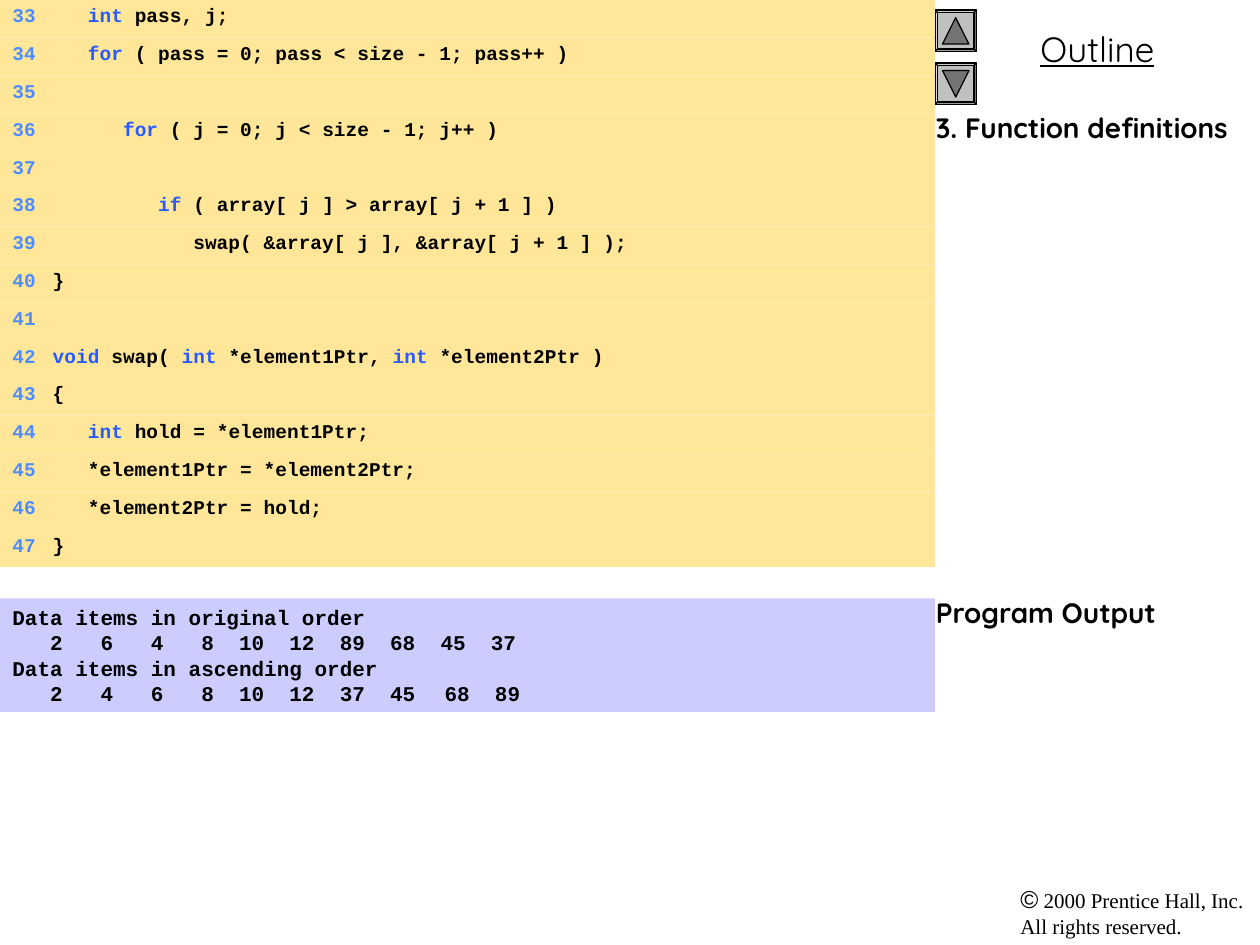
from lxml import etree
from pptx import Presentation
from pptx.dml.color import RGBColor
from pptx.enum.shapes import MSO_SHAPE
from pptx.enum.text import MSO_ANCHOR, PP_ALIGN
from pptx.oxml.ns import qn
from pptx.util import Inches, Pt

CODE_WIDTH = 7.42
ROW_HEIGHT = 0.3
FIRST_LINE = 33
CODE_TABS = ((0.15, "r"), (0.32, "l"))
OUTPUT_TABS = ((3.33, "l"),)

# Keywords stand between backticks.
CODE_LINES = (
    "   `int` pass, j;",
    "   `for` ( pass = 0; pass < size - 1; pass++ )",
    "",
    "      `for` ( j = 0; j < size - 1; j++ )",
    "",
    "         `if` ( array[ j ] > array[ j + 1 ] )",
    "            swap( &array[ j ], &array[ j + 1 ] );",
    "}",
    "",
    "`void` swap( `int` *element1Ptr, `int` *element2Ptr )",
    "{",
    "   `int` hold = *element1Ptr;",
    "   *element1Ptr = *element2Ptr;",
    "   *element2Ptr = hold;",
    "}",
)
OUTPUT_LINES = (
    "Data items in original order",
    "   2   6   4   8  10  12  89  68  45  37",
    "Data items in ascending order",
    "   2   4   6   8  10  12  37  45\t 68  89",
)


def color(hex_string):
    return RGBColor.from_string(hex_string)


class SlideBuilder:
    black = "000000"
    number_color = "4D8DFF"
    keyword_color = "275AFF"
    code_fill = "FFE699"
    output_fill = "CCCCFF"
    button_fill = "C0C0C0"
    arrow_fill = "747474"
    code_font = "Courier New"
    heading_font = "Quicksand"

    def __init__(self, slide):
        self.slide = slide

    def shape(self, kind, left, top, width, height, fill, line=None):
        shape = self.slide.shapes.add_shape(
            kind, Inches(left), Inches(top), Inches(width), Inches(height))
        shape.shadow.inherit = False
        shape.fill.solid()
        shape.fill.fore_color.rgb = color(fill)
        if line:
            shape.line.color.rgb = color(line)
            shape.line.width = Pt(0.75)
        else:
            shape.line.fill.background()
        return shape

    def panel(self, top, height, fill):
        """Add a full-width code panel and return its text frame."""
        panel = self.shape(MSO_SHAPE.RECTANGLE, 0, top, CODE_WIDTH, height, fill)
        panel.text_frame.word_wrap = True
        panel.text_frame.vertical_anchor = MSO_ANCHOR.TOP
        return panel.text_frame

    def text_box(self, left, top, width, height, wrap=True):
        box = self.slide.shapes.add_textbox(
            Inches(left), Inches(top), Inches(width), Inches(height))
        box.text_frame.word_wrap = wrap
        return box.text_frame

    def paragraph(self, text_frame, index, tabs=()):
        """Return the paragraph at index, left aligned, with its tab stops."""
        paragraph = text_frame.paragraphs[0] if index == 0 else text_frame.add_paragraph()
        paragraph.alignment = PP_ALIGN.LEFT
        if tabs:
            properties = paragraph._p.get_or_add_pPr()
            tab_list = etree.SubElement(properties, qn("a:tabLst"))
            for position, alignment in tabs:
                etree.SubElement(tab_list, qn("a:tab"),
                                 pos=str(Inches(position)), algn=alignment)
        return paragraph

    def run(self, paragraph, text, size, font, text_color=black, bold=False):
        run = paragraph.add_run()
        run.text = text
        run.font.size = Pt(size)
        run.font.name = font
        run.font.bold = bold
        run.font.color.rgb = color(text_color)
        return run

    def code_row(self, index, code):
        text_frame = self.panel(index * ROW_HEIGHT, ROW_HEIGHT, self.code_fill)
        paragraph = self.paragraph(text_frame, 0, CODE_TABS)
        paragraph.line_spacing = 0.9
        self.run(paragraph, f"\t{FIRST_LINE + index}\t", 11.1, self.code_font,
                 self.number_color, bold=True)
        for position, part in enumerate(code.split("`")):
            if part:
                part_color = self.keyword_color if position % 2 else self.black
                self.run(paragraph, part, 11.1, self.code_font, part_color, bold=True)

    def program_output(self, lines):
        text_frame = self.panel(4.75, 0.9, self.output_fill)
        for index, line in enumerate(lines):
            paragraph = self.paragraph(text_frame, index, OUTPUT_TABS)
            self.run(paragraph, line, 12, self.code_font, bold=True)

    def navigation_button(self, top, rotation):
        button = self.shape(MSO_SHAPE.BEVEL, CODE_WIDTH, top, 0.33, 0.33,
                            self.button_fill, self.black)
        button.adjustments[0] = 0.06
        arrow = self.shape(MSO_SHAPE.ISOSCELES_TRIANGLE, CODE_WIDTH + 0.06, top + 0.06,
                           0.21, 0.21, self.arrow_fill, self.black)
        arrow.rotation = rotation

    def outline_title(self):
        paragraph = self.paragraph(self.text_box(CODE_WIDTH, 0.17, 2.58, 0.44), 0)
        paragraph.alignment = PP_ALIGN.CENTER
        self.run(paragraph, "Outline", 20, self.heading_font).font.underline = True

    def section_headings(self):
        text_frame = self.text_box(7.33, 0.83, 2.67, 6.67)
        for index, heading in enumerate(("3. Function definitions", "Program Output")):
            paragraph = self.paragraph(text_frame, index)
            if index:
                paragraph.space_before = Pt(258)
            self.run(paragraph, heading, 16, self.heading_font, bold=True)

    def copyright_notice(self):
        paragraph = self.paragraph(self.text_box(8, 6.97, 2, 0.53, wrap=False), 0)
        self.run(paragraph, "©", 14, "Arial")
        self.run(paragraph, " 2000 Prentice Hall, Inc.", 12, "Times New Roman")
        paragraph.add_line_break()
        self.run(paragraph, "All rights reserved.", 12, "Times New Roman")


def main():
    presentation = Presentation()
    presentation.slide_width = Inches(10)
    presentation.slide_height = Inches(7.5)
    builder = SlideBuilder(presentation.slides.add_slide(presentation.slide_layouts[6]))

    builder.outline_title()
    builder.navigation_button(0.08, rotation=0)
    builder.navigation_button(0.5, rotation=180)
    builder.copyright_notice()
    builder.section_headings()
    for index, code in enumerate(CODE_LINES):
        builder.code_row(index, code)
    builder.program_output(OUTPUT_LINES)

    presentation.save("out.pptx")


if __name__ == "__main__":
    main()
